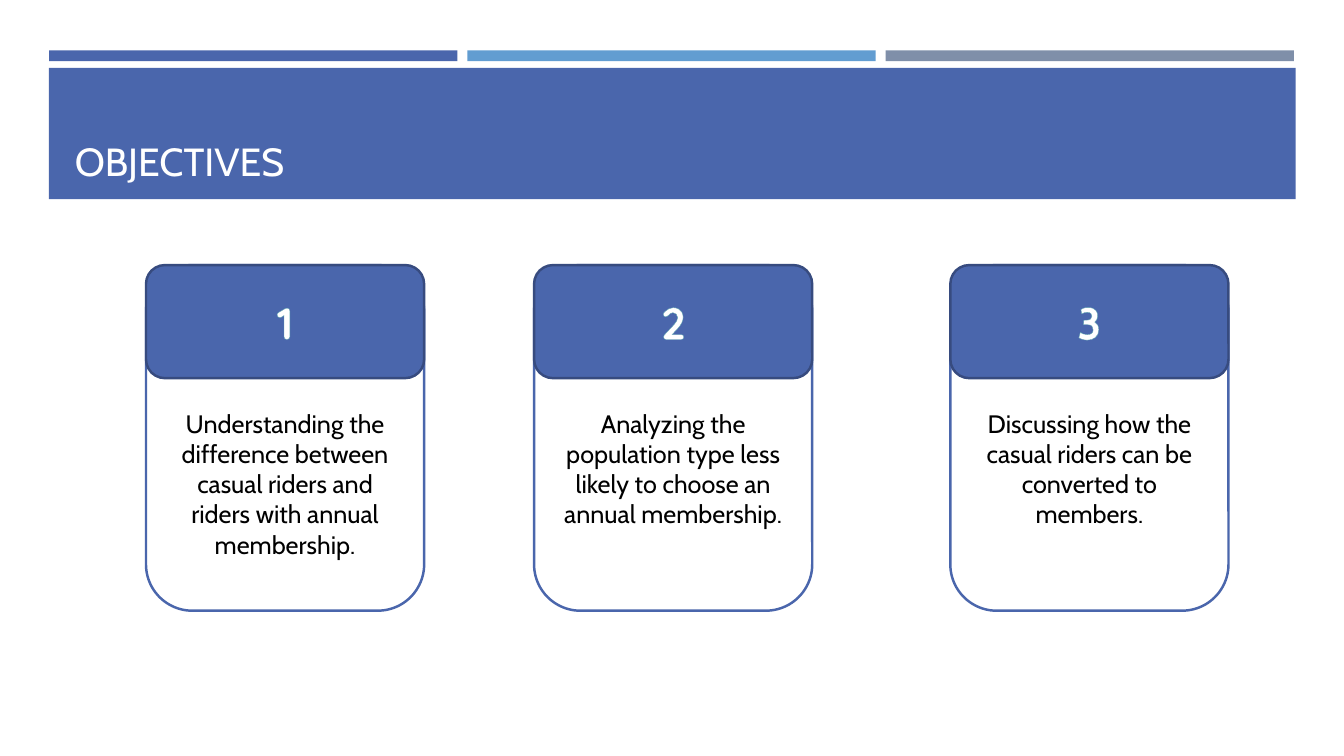
"""Build the Objectives slide with three numbered cards."""
from dataclasses import dataclass

from lxml.etree import SubElement
from pptx import Presentation
from pptx.dml.color import RGBColor as RGB
from pptx.enum.shapes import MSO_SHAPE as SHAPE
from pptx.enum.text import MSO_ANCHOR as ANCHOR, MSO_AUTO_SIZE as AUTO, PP_ALIGN as ALIGN
from pptx.oxml.ns import qn
from pptx.util import Cm, Pt


@dataclass(frozen=True)
class Theme:
    blue: str = "4A66AC"
    sky: str = "629DD1"
    slate: str = "7F8FA9"
    edge: str = "374B7F"
    glyph_edge: str = "5AA2AE"
    white: str = "FFFFFF"
    black: str = "000000"
    font: str = "Cabin"
    number_font: str = "Quicksand"
    title_size: int = 28
    number_size: int = 32
    body_size: int = 18
    line_width: float = 1.75


class Deck:
    def __init__(self, prs, theme):
        self.theme = theme
        self.s = prs.slides.add_slide(prs.slide_layouts[5])

    def shape(self, kind, x, y, w, h, fill, line=None):
        sp = self.s.shapes.add_shape(kind, Cm(x), Cm(y), Cm(w), Cm(h))
        sp.shadow.inherit = False
        sp.fill.solid()
        sp.fill.fore_color.rgb = RGB.from_string(fill)
        if line:
            sp.line.color.rgb = RGB.from_string(line)
            sp.line.width = Pt(self.theme.line_width)
        else:
            sp.line.fill.background()
        return sp

    def text(self, sp, text, size, color, font, align, anchor, bold=False):
        tf = sp.text_frame
        tf.text = text
        tf.word_wrap = True
        tf.auto_size = AUTO.NONE
        tf.vertical_anchor = anchor
        p = tf.paragraphs[0]
        p.alignment = align
        p.font.name, p.font.size, p.font.bold = font, Pt(size), bold
        p.font.color.rgb = RGB.from_string(color)
        return p

    def title(self, text, x, y, w, h):
        sp = self.s.shapes.title
        sp.left, sp.top, sp.width, sp.height = Cm(x), Cm(y), Cm(w), Cm(h)
        t = self.theme
        self.text(sp, text, t.title_size, t.white, t.font, ALIGN.LEFT, ANCHOR.BOTTOM)
        self.s.shapes._spTree.append(sp._element)

    def outline(self, p, color, width):
        r_pr = p._p.pPr.find(qn("a:defRPr"))
        ln = SubElement(r_pr, qn("a:ln"), w=str(Pt(width)))
        fill = SubElement(ln, qn("a:solidFill"))
        SubElement(fill, qn("a:srgbClr"), val=color)
        r_pr.insert(0, ln)

    def card(self, x, number, text, number_font):
        t, y, w = self.theme, 6.68, 7.01
        body = self.shape(SHAPE.ROUNDED_RECTANGLE, x, y, w, 8.71, t.white, t.blue)
        self.text(body, text, t.body_size, t.black, t.font, ALIGN.CENTER, ANCHOR.TOP)
        body.text_frame.margin_top = Cm(3.26)
        head = self.shape(SHAPE.ROUNDED_RECTANGLE, x, y, w, 2.85, t.blue, t.edge)
        p = self.text(head, number, t.number_size, t.white, number_font,
                      ALIGN.CENTER, ANCHOR.MIDDLE, bold=True)
        self.outline(p, t.glyph_edge, 0.8)


def main():
    prs = Presentation()
    prs.slide_width, prs.slide_height = Cm(33.87), Cm(19.05)
    theme = Theme()
    deck = Deck(prs, theme)
    for i, color in enumerate((theme.blue, theme.sky, theme.slate)):
        deck.shape(SHAPE.RECTANGLE, 1.24 + i * 10.54, 1.27, 10.29, 0.27, color)
    deck.shape(SHAPE.RECTANGLE, 1.23, 1.71, 31.42, 3.31, theme.blue)
    deck.title("OBJECTIVES", 1.63, 1.96, 30.63, 2.82)
    cards = (
        (3.68, "Understanding the difference between casual riders and riders "
               "with annual membership.", theme.number_font),
        (13.46, "Analyzing the population type less likely to choose an annual "
                "membership.", theme.number_font),
        (23.95, "Discussing how the casual riders can be converted to members.",
         theme.font),
    )
    for number, (x, text, font) in enumerate(cards, 1):
        deck.card(x, str(number), text, font)
    prs.save("out.pptx")


main()
